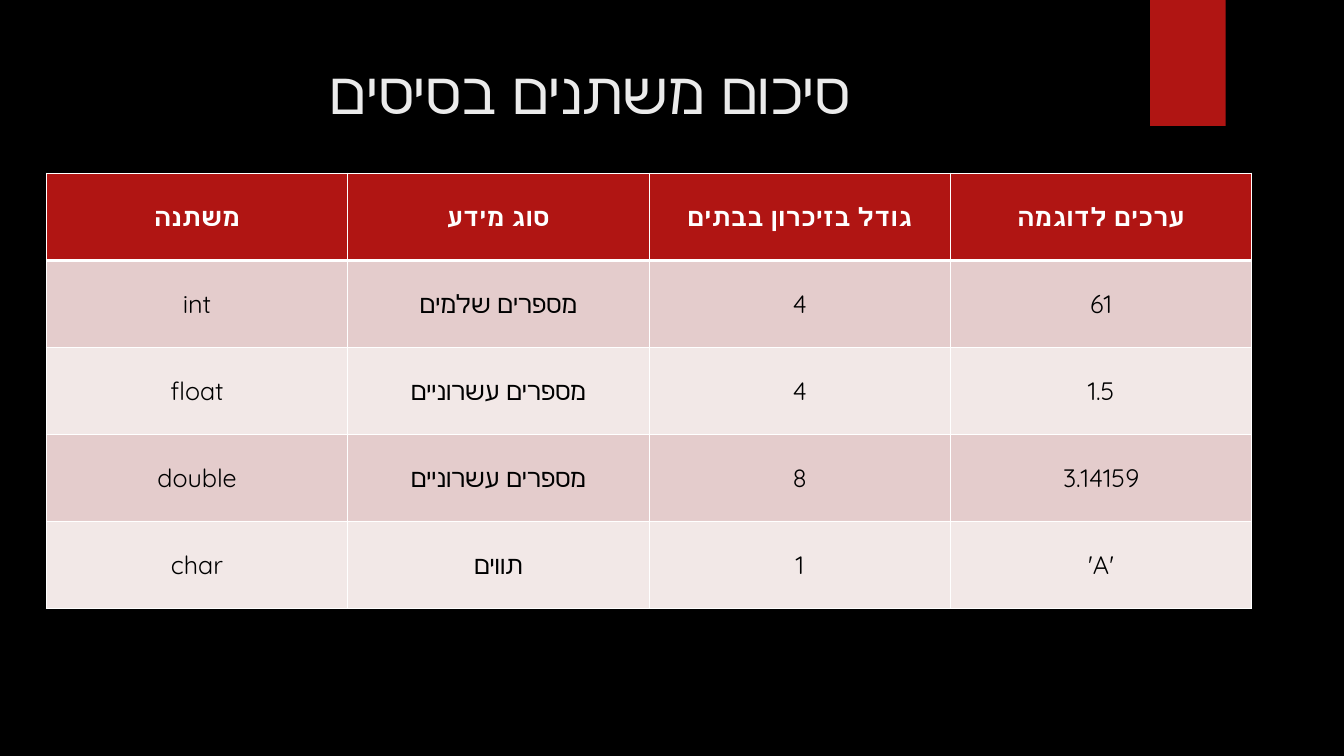
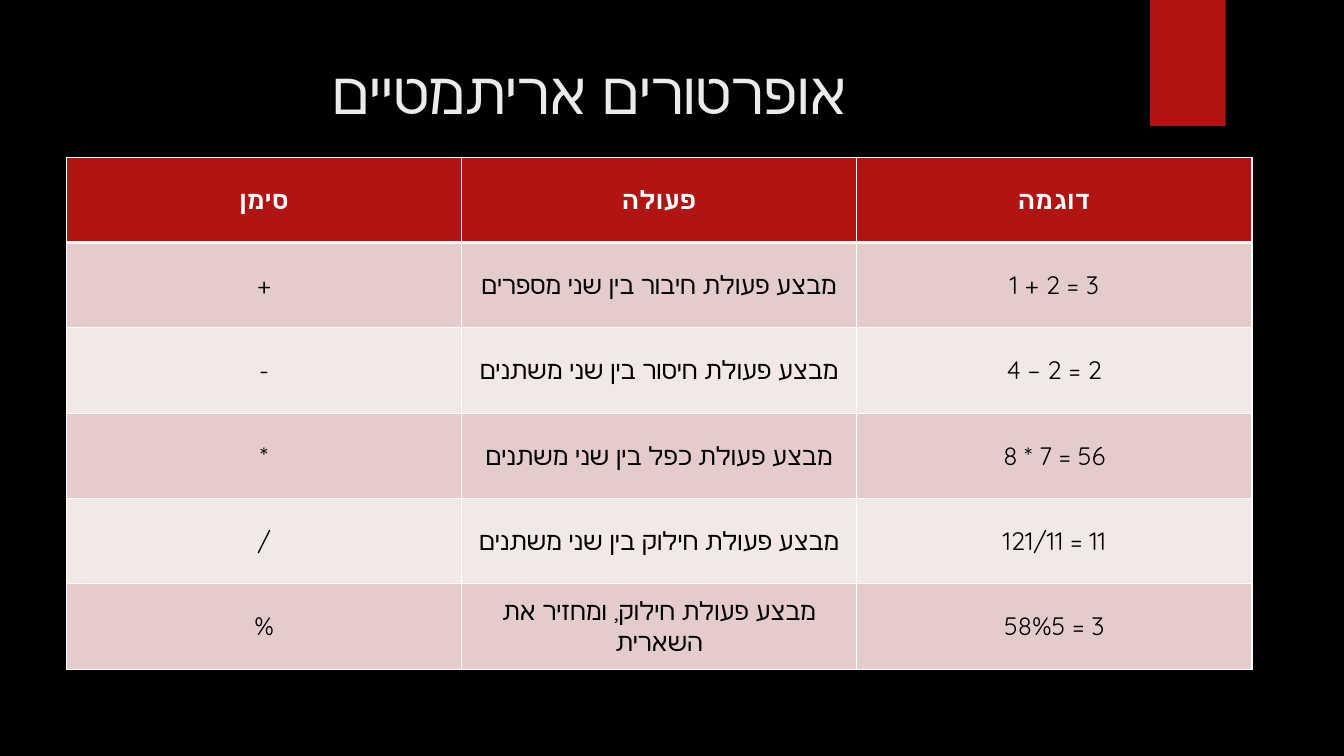
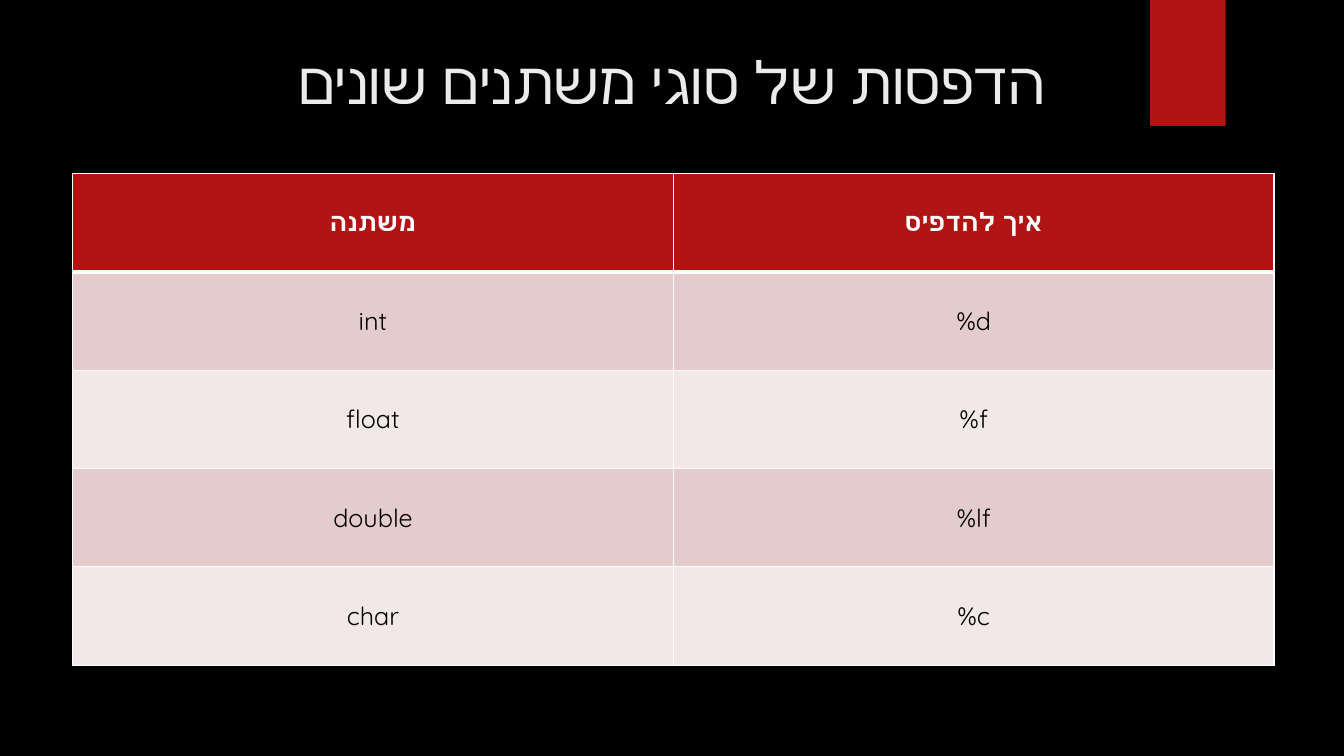
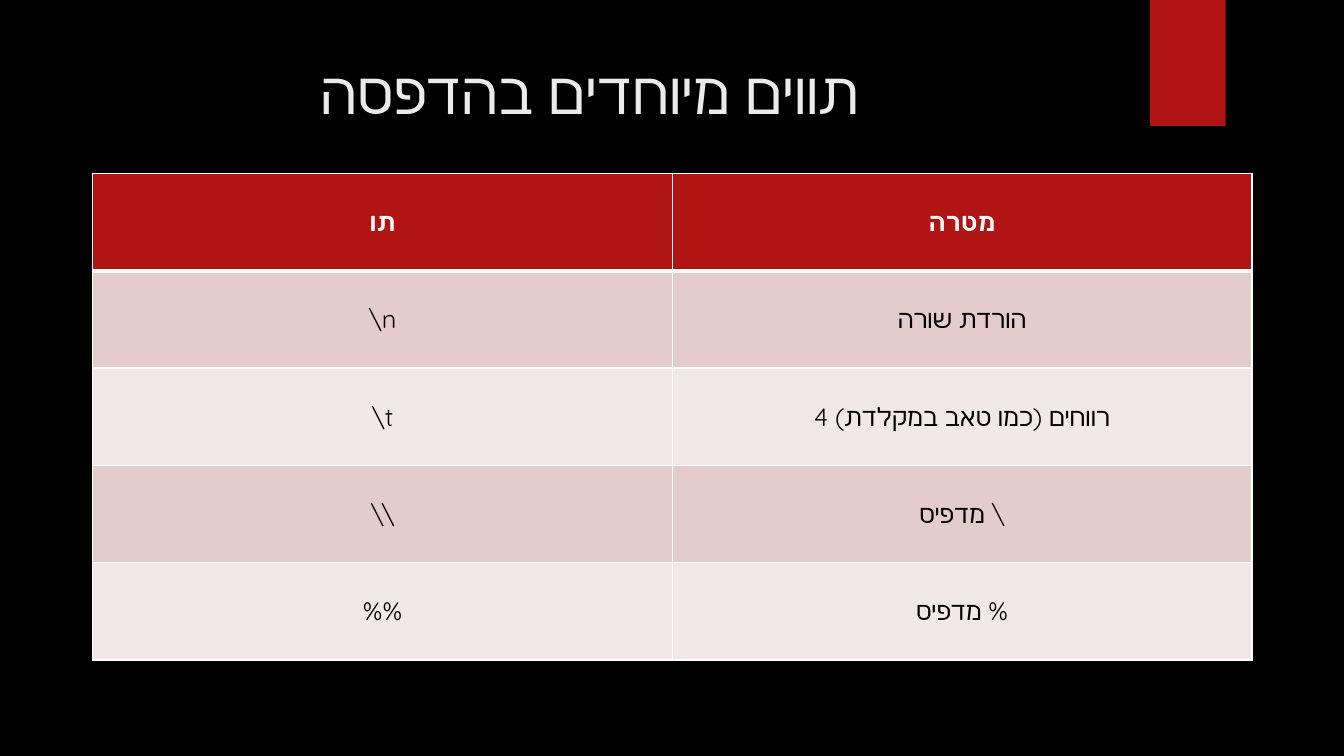
from lxml.etree import SubElement
from pptx import Presentation
from pptx.dml.color import RGBColor
from pptx.enum.shapes import MSO_SHAPE
from pptx.enum.text import MSO_ANCHOR, PP_ALIGN
from pptx.oxml.ns import qn
from pptx.util import Inches, Pt

SLIDE_WIDTH, SLIDE_HEIGHT = Inches(13.33), Inches(7.5)
FONT = "Quicksand"
COLORS = {
    "background": "000000",
    "accent": "B01513",
    "title": "EBEBEB",
    "header": "FFFFFF",
    "body": "000000",
    "border": "FFFFFF",
    "odd_row": "E4CCCC",
    "even_row": "F2E8E7",
}
FORMATS = {
    "title": {"size": Pt(42), "bold": False, "name": FONT},
    "header": {"size": Pt(18), "bold": True, "name": FONT},
    "body": {"size": Pt(18), "bold": False, "name": FONT},
}

# Areas are left, top, width and height in percent of the slide.
RIBBON_AREA = (85.57, 0, 5.63, 16.67)
TITLE_AREA = (5.32, 6.67, 77.18, 20.4)
WIDE_TITLE_AREA = (0, 5.33, 100, 16.27)

SLIDES = [
    {
        "title": "סיכום משתנים בסיסים",
        "right_to_left": False,
        "table_area": (3.45, 22.93, 89.7, 57.6),
        "rows": [
            ("משתנה", "סוג מידע", "גודל בזיכרון בבתים", "ערכים לדוגמה"),
            ("int", "מספרים שלמים", "4", "61"),
            ("float", "מספרים עשרוניים", "4", "1.5"),
            ("double", "מספרים עשרוניים", "8", "3.14159"),
            ("char", "תווים", "1", "'A'"),
        ],
    },
    {
        "title": "אופרטורים אריתמטיים",
        "table_area": (4.95, 20.8, 88.2, 67.73),
        "rows": [
            ("סימן", "פעולה", "דוגמה"),
            ("+", "מבצע פעולת חיבור בין שני מספרים", "1 + 2 = 3"),
            ("-", "מבצע פעולת חיסור בין שני משתנים", "4 – 2 = 2"),
            ("*", "מבצע פעולת כפל בין שני משתנים", "8 * 7 = 56"),
            ("/", "מבצע פעולת חילוק בין שני משתנים", "121/11 = 11"),
            ("%", "מבצע פעולת חילוק, ומחזיר את השארית", "58%5 = 3"),
        ],
    },
    {
        "title": "הדפסות של סוגי משתנים שונים",
        "title_area": WIDE_TITLE_AREA,
        "table_area": (5.4, 22.93, 89.4, 65.07),
        "rows": [
            ("משתנה", "איך להדפיס"),
            ("int", "%d"),
            ("float", "%f"),
            ("double", "%lf"),
            ("char", "%c"),
        ],
    },
    {
        "title": "תווים מיוחדים בהדפסה",
        "table_area": (6.9, 22.93, 86.25, 64.4),
        "rows": [
            ("תו", "מטרה"),
            ("\\n", "הורדת שורה"),
            ("\\t", "4 רווחים (כמו טאב במקלדת)"),
            ("\\\\", "מדפיס \\"),
            ("%%", "מדפיס %"),
        ],
    },
]


def color(name):
    return RGBColor.from_string(COLORS[name])


def paint(fill, name):
    fill.solid()
    fill.fore_color.rgb = color(name)


def place(area):
    """Turn percentages of the slide into left, top, width and height."""
    sides = (SLIDE_WIDTH, SLIDE_HEIGHT) * 2
    return [round(side * share / 100) for side, share in zip(sides, area)]


def write(text_frame, text, style, right_to_left=False):
    text_frame.word_wrap = True
    paragraph = text_frame.paragraphs[0]
    paragraph.alignment = PP_ALIGN.CENTER
    if right_to_left:
        paragraph._p.get_or_add_pPr().set("rtl", "1")
    run = paragraph.add_run()
    run.text = text
    for attribute, value in FORMATS[style].items():
        setattr(run.font, attribute, value)
    run.font.color.rgb = color(style)
    # Hebrew letters take the complex-script font.
    SubElement(run._r.get_or_add_rPr(), qn("a:cs"), typeface=FONT)


def add_ribbon(slide):
    ribbon = slide.shapes.add_shape(MSO_SHAPE.RECTANGLE, *place(RIBBON_AREA))
    ribbon.shadow.inherit = False
    paint(ribbon.fill, "accent")
    ribbon.line.fill.background()


def add_title(slide, text, area, right_to_left):
    title = slide.shapes.add_textbox(*place(area))
    title.text_frame.vertical_anchor = MSO_ANCHOR.TOP
    write(title.text_frame, text, "title", right_to_left)


def set_borders(cell, widths):
    """Draw the cell's borders; they must precede its fill in the XML."""
    properties = cell._tc.get_or_add_tcPr()
    for position, (side, width) in enumerate(widths.items()):
        line = properties.makeelement(qn(f"a:ln{side}"), w=str(Pt(width)))
        fill = SubElement(line, qn("a:solidFill"))
        SubElement(fill, qn("a:srgbClr"), val=COLORS["border"])
        properties.insert(position, line)


def add_grid(slide, rows, area):
    frame = slide.shapes.add_table(len(rows), len(rows[0]), *place(area))
    table = frame.table
    table.horz_banding = False
    for row_index, texts in enumerate(rows):
        is_header = row_index == 0
        band = "accent" if is_header else ("even_row", "odd_row")[row_index % 2]
        widths = {"L": 1, "R": 1, "T": 3 if row_index == 1 else 1,
                  "B": 3 if is_header else 1}
        for column_index, text in enumerate(texts):
            cell = table.cell(row_index, column_index)
            cell.vertical_anchor = MSO_ANCHOR.MIDDLE
            paint(cell.fill, band)
            set_borders(cell, widths)
            write(cell.text_frame, text, "header" if is_header else "body")


def main():
    presentation = Presentation()
    presentation.slide_width = SLIDE_WIDTH
    presentation.slide_height = SLIDE_HEIGHT
    paint(presentation.slide_master.background.fill, "background")
    blank_layout = presentation.slide_layouts[6]
    for content in SLIDES:
        slide = presentation.slides.add_slide(blank_layout)
        add_ribbon(slide)
        add_title(slide, content["title"], content.get("title_area", TITLE_AREA),
                  content.get("right_to_left", True))
        add_grid(slide, content["rows"], content["table_area"])
    presentation.save("out.pptx")


if __name__ == "__main__":
    main()
